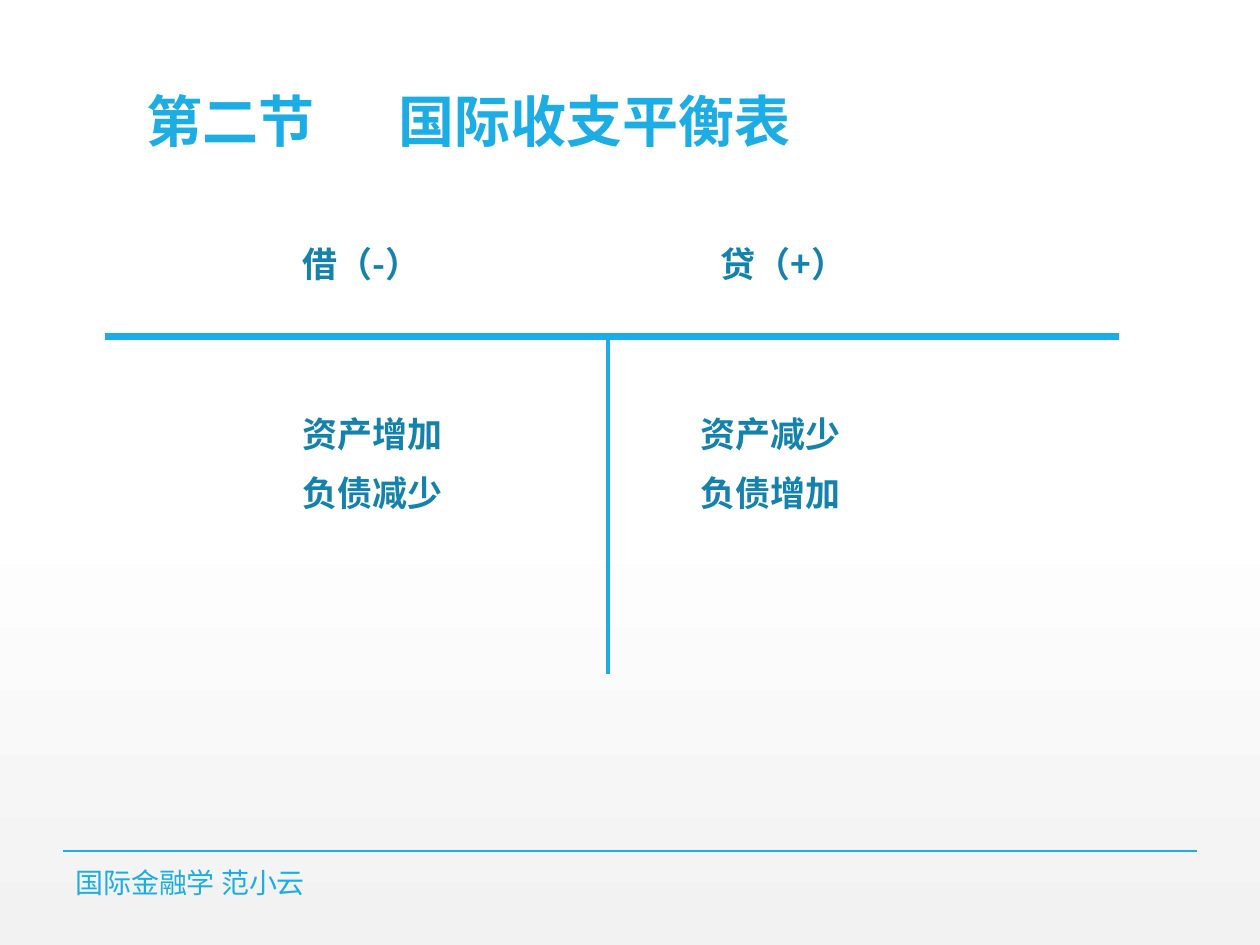
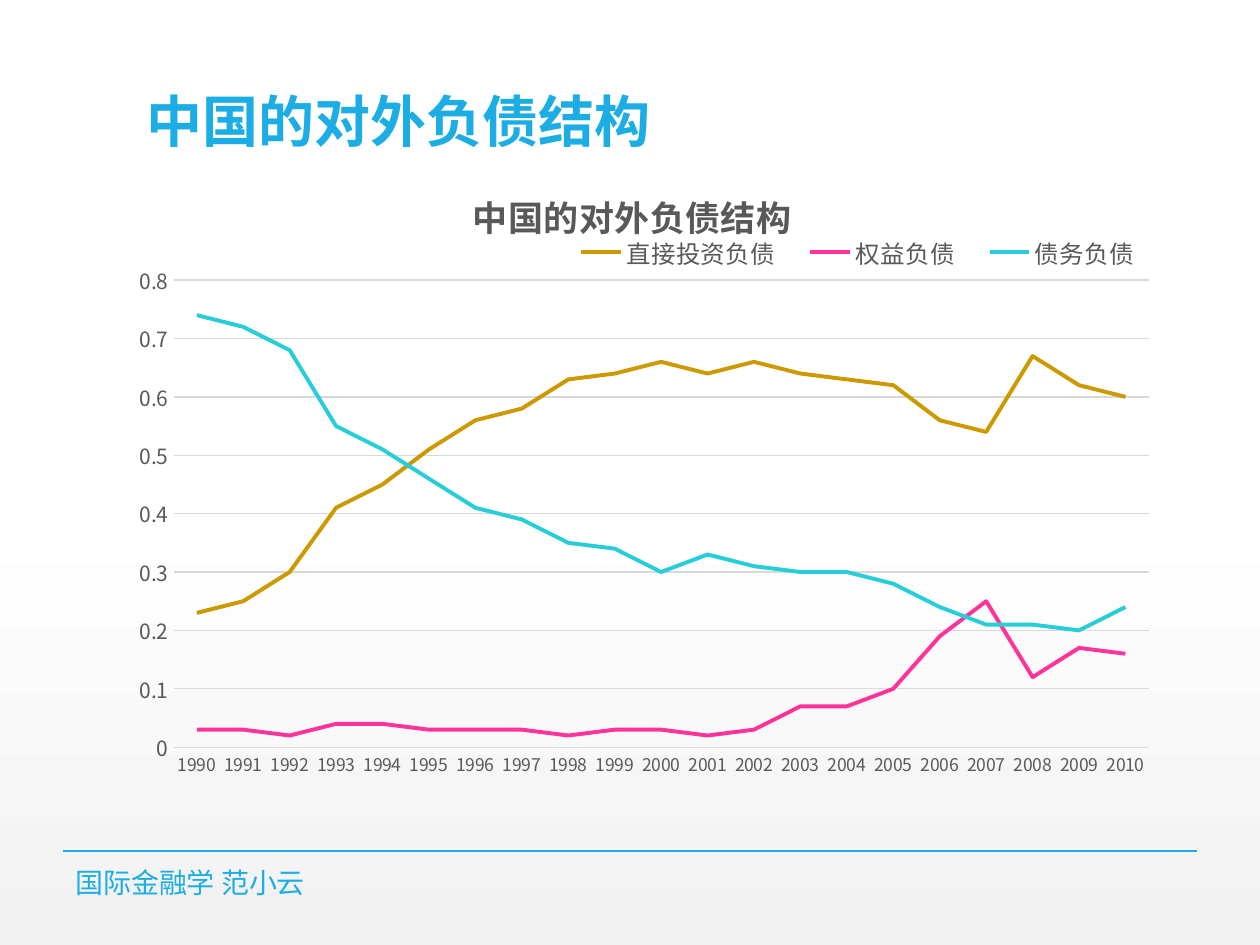
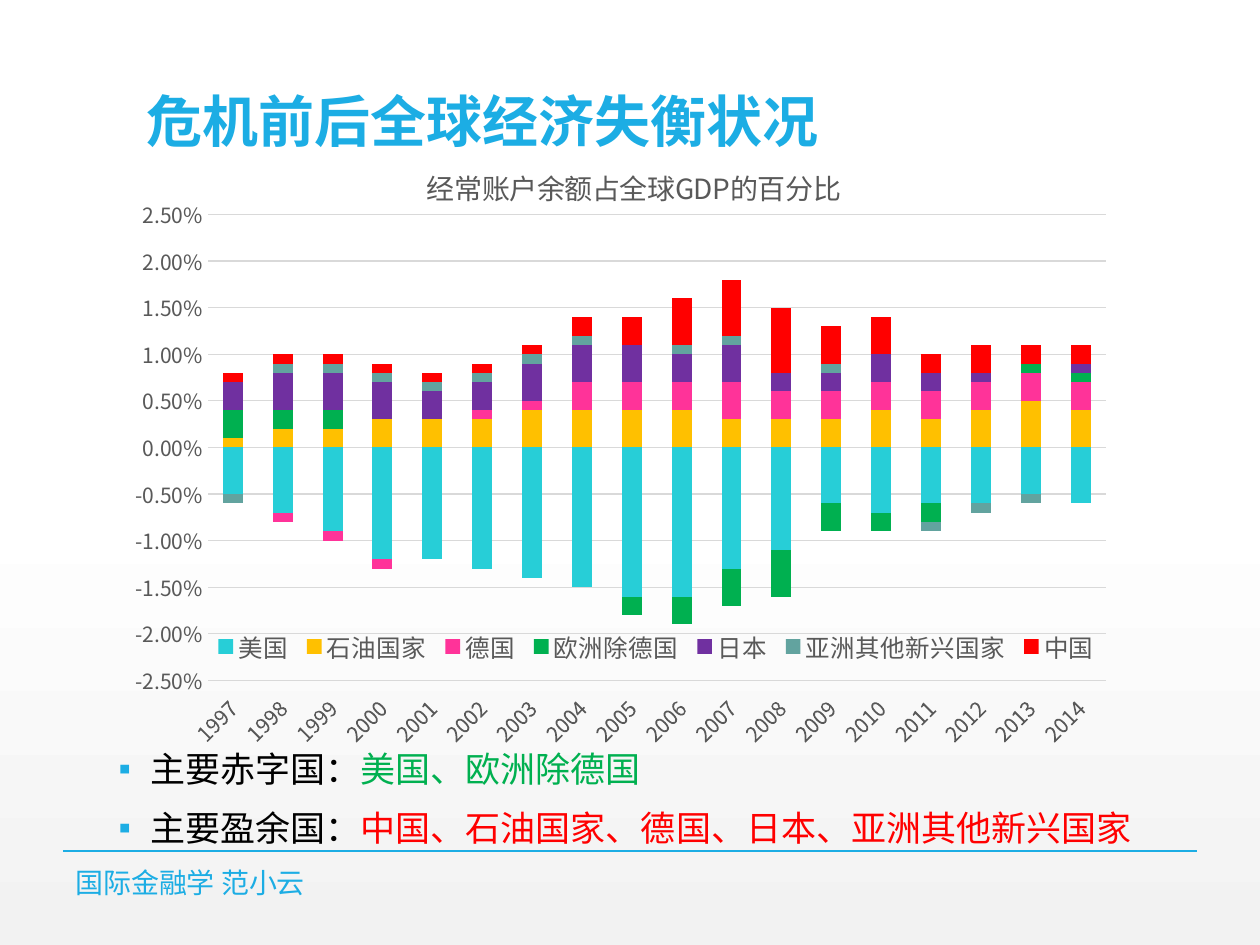
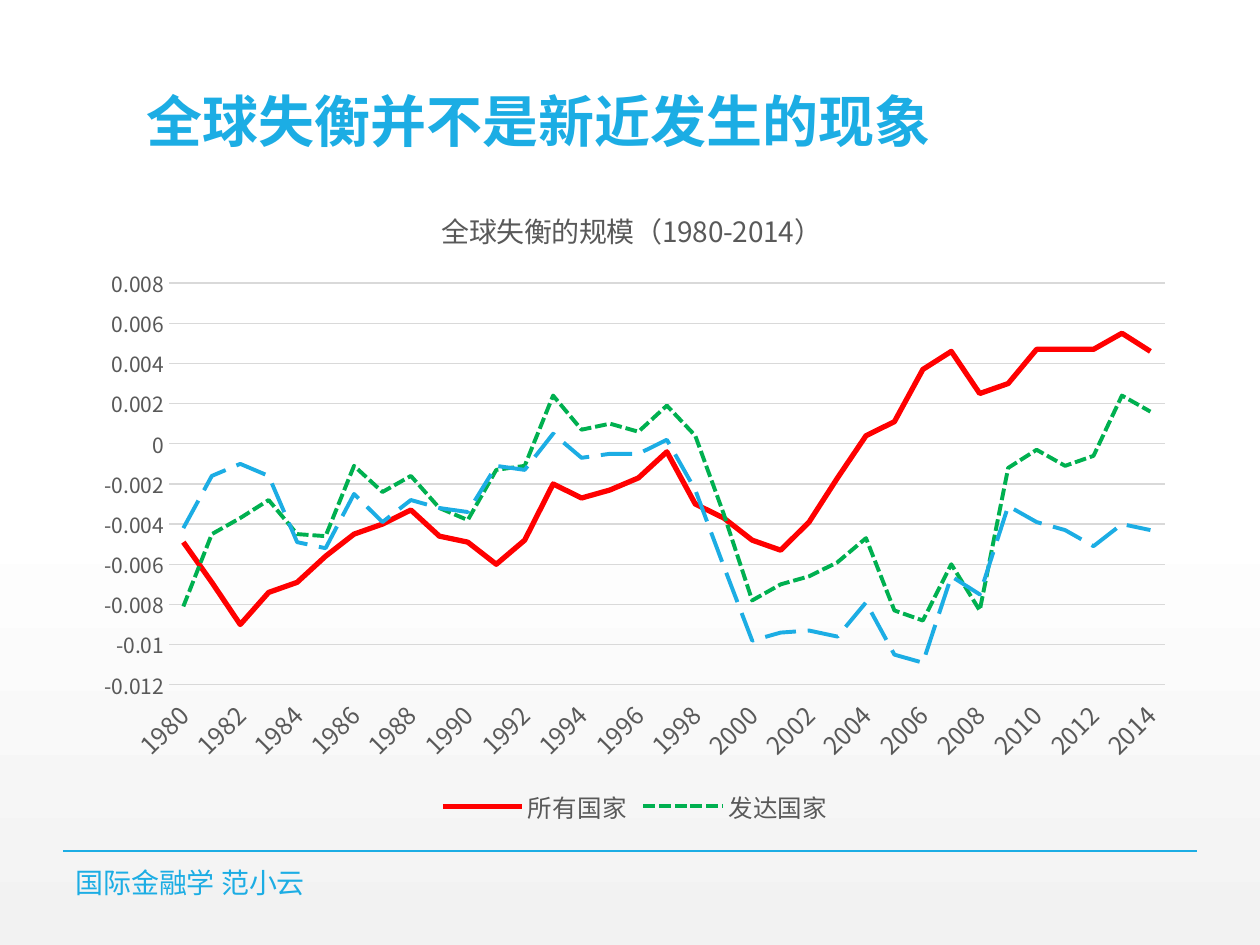
from collections import namedtuple

from pptx import Presentation
from pptx.chart.data import CategoryChartData
from pptx.dml.color import RGBColor
from pptx.enum.chart import (XL_CHART_TYPE as ChartType, XL_LEGEND_POSITION as LegendPosition,
                             XL_TICK_LABEL_POSITION as LabelPosition, XL_TICK_MARK as TickMark)
from pptx.enum.dml import MSO_LINE as Dash
from pptx.enum.shapes import MSO_CONNECTOR as Connector
from pptx.enum.text import MSO_ANCHOR as Anchor, MSO_AUTO_SIZE as AutoSize, PP_ALIGN as Align
from pptx.oxml import parse_xml
from pptx.oxml.ns import nsdecls, qn
from pptx.util import Pt

EMU_PER_PX = 914400 / 126

BLUE = RGBColor(0x1C, 0xAD, 0xE4)
DARK_BLUE = RGBColor(0x14, 0x82, 0xAC)
BLACK = RGBColor(0, 0, 0)
GREY_TEXT = RGBColor(0x59, 0x59, 0x59)
GRID_GREY = RGBColor(0xD9, 0xD9, 0xD9)
OCHRE = RGBColor(0xCC, 0x99, 0x00)
PINK = RGBColor(0xFF, 0x33, 0x99)
TURQUOISE = RGBColor(0x27, 0xCE, 0xD7)
AMBER = RGBColor(0xFF, 0xC0, 0x00)
GREEN = RGBColor(0x00, 0xB0, 0x50)
PURPLE = RGBColor(0x70, 0x30, 0xA0)
SAGE = RGBColor(0x62, 0xA3, 0x9F)
RED = RGBColor(0xFF, 0, 0)

LATIN_FONT = "Arial"
CJK_FONT = "Noto Sans CJK SC"

Box = namedtuple("Box", "left top width height")
Series = namedtuple("Series", "name color values width dash", defaults=(2.25, None))
Scale = namedtuple("Scale", "low high step number_format")

TITLE_BOX = Box(134, 3, 993, 158)
TITLE_TAB = 252
FOOTER_BOX = Box(63, 867, 634, 30)

LIABILITIES = [
    Series("直接投资负债", OCHRE, [
        0.23, 0.25, 0.3, 0.41, 0.45, 0.51, 0.56, 0.58, 0.63, 0.64, 0.66,
        0.64, 0.66, 0.64, 0.63, 0.62, 0.56, 0.54, 0.67, 0.62, 0.6]),
    Series("权益负债", PINK, [
        0.03, 0.03, 0.02, 0.04, 0.04, 0.03, 0.03, 0.03, 0.02, 0.03, 0.03,
        0.02, 0.03, 0.07, 0.07, 0.1, 0.19, 0.25, 0.12, 0.17, 0.16]),
    Series("债务负债", TURQUOISE, [
        0.74, 0.72, 0.68, 0.55, 0.51, 0.46, 0.41, 0.39, 0.35, 0.34, 0.3,
        0.33, 0.31, 0.3, 0.3, 0.28, 0.24, 0.21, 0.21, 0.2, 0.24]),
]

CURRENT_ACCOUNTS = [
    Series("美国", TURQUOISE, [
        -0.005, -0.007, -0.009, -0.012, -0.012, -0.013, -0.014, -0.015, -0.016,
        -0.016, -0.013, -0.011, -0.006, -0.007, -0.006, -0.006, -0.005, -0.006]),
    Series("石油国家", AMBER, [
        0.001, 0.002, 0.002, 0.003, 0.003, 0.003, 0.004, 0.004, 0.004,
        0.004, 0.003, 0.003, 0.003, 0.004, 0.003, 0.004, 0.005, 0.004]),
    Series("德国", PINK, [
        0, -0.001, -0.001, -0.001, 0, 0.001, 0.001, 0.003, 0.003,
        0.003, 0.004, 0.003, 0.003, 0.003, 0.003, 0.003, 0.003, 0.003]),
    Series("欧洲除德国", GREEN, [
        0.003, 0.002, 0.002, 0, 0, 0, 0, 0, -0.002,
        -0.003, -0.004, -0.005, -0.003, -0.002, -0.002, 0, 0.001, 0.001]),
    Series("日本", PURPLE, [
        0.003, 0.004, 0.004, 0.004, 0.003, 0.003, 0.004, 0.004, 0.004,
        0.003, 0.004, 0.002, 0.002, 0.003, 0.002, 0.001, 0, 0.001]),
    Series("亚洲其他新兴国家", SAGE, [
        -0.001, 0.001, 0.001, 0.001, 0.001, 0.001, 0.001, 0.001, 0,
        0.001, 0.001, 0, 0.001, 0, -0.001, -0.001, -0.001, 0]),
    Series("中国", RED, [
        0.001, 0.001, 0.001, 0.001, 0.001, 0.001, 0.001, 0.002, 0.003,
        0.005, 0.006, 0.007, 0.004, 0.004, 0.002, 0.003, 0.002, 0.002]),
]

IMBALANCES = [
    Series("所有国家", RED, [
        -0.0049, -0.0069, -0.009, -0.0074, -0.0069, -0.0056, -0.0045, -0.004, -0.0033,
        -0.0046, -0.0049, -0.006, -0.0048, -0.002, -0.0027, -0.0023, -0.0017, -0.0004,
        -0.003, -0.0037, -0.0048, -0.0053, -0.0039, -0.0017, 0.0004, 0.0011, 0.0037,
        0.0046, 0.0025, 0.003, 0.0047, 0.0047, 0.0047, 0.0055, 0.0046], 3),
    Series("发达国家", GREEN, [
        -0.0081, -0.0045, -0.0037, -0.0028, -0.0045, -0.0046, -0.0011, -0.0024, -0.0016,
        -0.0032, -0.0038, -0.0013, -0.0011, 0.0024, 0.0007, 0.001, 0.0006, 0.0019,
        0.0004, -0.0035, -0.0078, -0.007, -0.0066, -0.0059, -0.0047, -0.0083, -0.0088,
        -0.006, -0.0083, -0.0012, -0.0003, -0.0011, -0.0006, 0.0024, 0.0016],
        2.25, Dash.SQUARE_DOT),
    Series("G7", BLUE, [
        -0.0042, -0.0016, -0.001, -0.0016, -0.0049, -0.0052, -0.0025, -0.0039, -0.0028,
        -0.0032, -0.0034, -0.0011, -0.0013, 0.0005, -0.0007, -0.0005, -0.0005, 0.0002,
        -0.0023, -0.0061, -0.0098, -0.0094, -0.0093, -0.0096, -0.0079, -0.0105, -0.0109,
        -0.0066, -0.0075, -0.0031, -0.0039, -0.0043, -0.0051, -0.004, -0.0043],
        2.25, Dash.LONG_DASH),
]


def px(length):
    return round(length * EMU_PER_PX)


def place(shape, box):
    shape.left, shape.top, shape.width, shape.height = map(px, box)


def style_font(font, size, color, bold=None, name=CJK_FONT):
    font.name = name
    font.size = Pt(size)
    font.bold = bold
    font.color.rgb = color


def set_east_asian_font(root):
    """Pair every Latin font below root with the Chinese font."""
    for latin in list(root.iter(qn("a:latin"))):
        latin.addnext(parse_xml(f'<a:ea {nsdecls("a")} typeface="{CJK_FONT}"/>'))


def space_before_half(paragraph):
    properties = paragraph._p.get_or_add_pPr()
    properties.append(parse_xml(
        f'<a:spcBef {nsdecls("a")}><a:spcPct val="50000"/></a:spcBef>'))
    return properties


def add_line(slide, start, end, width):
    line = slide.shapes.add_connector(Connector.STRAIGHT, *map(px, start + end))
    line.line.color.rgb = BLUE
    line.line.width = Pt(width)
    line.element.spPr.append(parse_xml(f'<a:effectLst {nsdecls("a")}/>'))
    return line


def add_text_box(slide, box, text):
    text_frame = slide.shapes.add_textbox(*map(px, box)).text_frame
    text_frame.word_wrap = True
    text_frame.text = text
    return text_frame


def set_up_master(presentation):
    master = presentation.slide_master
    master.background.fill.gradient()
    gradient = master.element.find(".//" + qn("p:bg")).find(".//" + qn("a:gradFill"))
    gradient.getparent().replace(gradient, parse_xml(
        f'<a:gradFill {nsdecls("a")} rotWithShape="1"><a:gsLst>'
        '<a:gs pos="0"><a:srgbClr val="FFFFFF"/></a:gs>'
        '<a:gs pos="53000"><a:srgbClr val="FFFFFF"/></a:gs>'
        '<a:gs pos="100000"><a:srgbClr val="F2F2F2"><a:alpha val="65000"/></a:srgbClr></a:gs>'
        '</a:gsLst><a:lin ang="5400000" scaled="0"/></a:gradFill>'))


def move_to_master(presentation, shape):
    presentation.slide_master.shapes.element.append(shape.element)


def add_slide(presentation, title, layout_name="Title Only"):
    layout = presentation.slide_layouts.get_by_name(layout_name)
    slide = presentation.slides.add_slide(layout)
    place(slide.shapes.title, TITLE_BOX)
    text_frame = slide.shapes.title.text_frame
    text_frame.text = title
    text_frame.auto_size = AutoSize.NONE
    text_frame.vertical_anchor = Anchor.BOTTOM
    paragraph = text_frame.paragraphs[0]
    paragraph.alignment = Align.LEFT
    paragraph.line_spacing = 0.9
    paragraph._p.get_or_add_pPr().append(parse_xml(
        f'<a:tabLst {nsdecls("a")}><a:tab pos="{px(TITLE_TAB)}" algn="l"/></a:tabLst>'))
    style_font(paragraph.runs[0].font, 32, BLUE, True, LATIN_FONT)

    footer = add_text_box(slide, FOOTER_BOX, "国际金融学 范小云")
    footer.vertical_anchor = Anchor.MIDDLE
    style_font(footer.paragraphs[0].runs[0].font, 16, BLUE)
    return slide


def add_t_account(slide, box):
    bar_top, stem_left = box.top + 101, box.left + 503
    add_line(slide, (box.left, bar_top), (box.left + box.width, bar_top), 4)
    add_line(slide, (stem_left, bar_top), (stem_left, box.top + box.height), 2.5)
    for left, top, height, text in [
        (185, 0, 55, "借（-）"),
        (603, 0, 55, "贷（+）"),
        (185, 170, 118, "资产增加\n负债减少"),
        (583, 170, 118, "资产减少\n负债增加"),
    ]:
        entry = add_text_box(slide, Box(box.left + left, box.top + top, 297, height), text)
        entry.auto_size = AutoSize.SHAPE_TO_FIT_TEXT
        for paragraph in entry.paragraphs:
            space_before_half(paragraph)
            style_font(paragraph.runs[0].font, 20, DARK_BLUE, True)


def add_country_list(slide, box):
    body = slide.placeholders[1]
    place(body, box)
    text_frame = body.text_frame
    text_frame.auto_size = AutoSize.NONE
    rows = [("主要赤字国：", "美国、欧洲除德国", GREEN),
            ("主要盈余国：", "中国、石油国家、德国、日本、亚洲其他新兴国家", RED)]
    text_frame.text = "\n".join(label for label, _, _ in rows)
    for paragraph, (_, countries, color) in zip(text_frame.paragraphs, rows):
        style_font(paragraph.runs[0].font, 20, BLACK)
        run = paragraph.add_run()
        run.text = countries
        style_font(run.font, 20, color)
        properties = space_before_half(paragraph)
        properties.set("marL", "228600")
        properties.set("indent", "-228600")
        properties.append(parse_xml(
            f'<a:buClr {nsdecls("a")}><a:srgbClr val="{BLUE}"/></a:buClr>'))
        properties.append(parse_xml(f'<a:buChar {nsdecls("a")} char="▪"/>'))


def set_layout(parent, predecessor, x, y, width=None, height=None, inner=False):
    """Place a chart part by fractions of the chart, after its predecessor tag."""
    for layout in parent.findall(qn("c:layout")):
        parent.remove(layout)
    parts = ['<c:layoutTarget val="inner"/>'] if inner else []
    parts += ['<c:xMode val="edge"/>', '<c:yMode val="edge"/>']
    parts += [f'<c:{tag} val="{value}"/>'
              for tag, value in zip("xywh", (x, y, width, height)) if value is not None]
    layout = parse_xml(f'<c:layout {nsdecls("c")}><c:manualLayout>{"".join(parts)}'
                       '</c:manualLayout></c:layout>')
    if predecessor:
        parent.find(qn(predecessor)).addnext(layout)
    else:
        parent.insert(0, layout)


def add_chart(slide, box, chart_type, first_year, series_list, scale, plot_layout):
    data = CategoryChartData(number_format=scale.number_format)
    data.categories = [str(first_year + i) for i in range(len(series_list[0].values))]
    for series in series_list:
        data.add_series(series.name, series.values)
    chart = slide.shapes.add_chart(chart_type, *map(px, box), data).chart
    style_font(chart.font, 10, BLACK, name=LATIN_FONT)
    plot = chart.plots[0]
    plot.vary_by_categories = False
    for drawn, series in zip(plot.series, series_list):
        if chart_type == ChartType.LINE:
            drawn.smooth = False
            drawn.format.line.color.rgb = series.color
            drawn.format.line.width = Pt(series.width)
            if series.dash:
                drawn.format.line.dash_style = series.dash
        else:
            drawn.invert_if_negative = False
            drawn.format.fill.solid()
            drawn.format.fill.fore_color.rgb = series.color
    style_value_axis(chart.value_axis, scale)
    set_layout(chart.element.find(".//" + qn("c:plotArea")), None, *plot_layout, inner=True)
    return chart


def style_value_axis(axis, scale):
    axis.minimum_scale, axis.maximum_scale, axis.major_unit = scale[:3]
    axis.major_tick_mark = axis.minor_tick_mark = TickMark.NONE
    axis.format.line.fill.background()
    axis.has_major_gridlines = True
    axis.major_gridlines.format.line.color.rgb = GRID_GREY
    axis.major_gridlines.format.line.width = Pt(0.75)
    axis.tick_labels.number_format = scale.number_format
    axis.tick_labels.number_format_is_linked = False
    style_font(axis.tick_labels.font, 12, GREY_TEXT)


def style_category_axis(chart, size, slanted=False):
    axis = chart.category_axis
    axis.major_tick_mark = axis.minor_tick_mark = TickMark.NONE
    axis.format.line.color.rgb = GRID_GREY
    axis.format.line.width = Pt(0.75)
    style_font(axis.tick_labels.font, size, GREY_TEXT)
    if slanted:
        axis.tick_label_position = LabelPosition.LOW
        body = chart.element.find(".//" + qn("c:catAx")).find(".//" + qn("a:bodyPr"))
        body.set("rot", "-2700000")
        body.set("vert", "horz")


def add_chart_title(chart, text, size, x, y, bold=False):
    chart.has_title = True
    text_frame = chart.chart_title.text_frame
    text_frame.text = text
    style_font(text_frame.paragraphs[0].runs[0].font, size, GREY_TEXT, bold)
    set_layout(chart.element.find(".//" + qn("c:title")), "c:tx", x, y)


def add_legend(chart, layout=None, hidden_entry=None):
    chart.has_legend = True
    chart.legend.position = LegendPosition.BOTTOM
    chart.legend.include_in_layout = False
    style_font(chart.legend.font, 14, GREY_TEXT)
    legend = chart.element.find(".//" + qn("c:legend"))
    if layout:
        set_layout(legend, "c:legendPos", *layout)
    if hidden_entry is not None:
        legend.find(qn("c:legendPos")).addnext(parse_xml(
            f'<c:legendEntry {nsdecls("c")}><c:idx val="{hidden_entry}"/>'
            '<c:delete val="1"/></c:legendEntry>'))


def add_liability_chart(slide, box):
    chart = add_chart(slide, box, ChartType.LINE, 1990, LIABILITIES,
                      Scale(0, 0.8, 0.1, "General"), (0.084, 0.177, 0.885, 0.688))
    style_category_axis(chart, 10)
    add_chart_title(chart, "中国的对外负债结构", 20, 0.35, 0.03, bold=True)
    add_legend(chart, (0.43, 0.11, 0.55, 0.05))
    set_east_asian_font(chart.element)


def add_current_account_chart(slide, box):
    chart = add_chart(slide, box, ChartType.COLUMN_STACKED, 1997, CURRENT_ACCOUNTS,
                      Scale(-0.025, 0.025, 0.005, "0.00%"), (0.1, 0.093, 0.881, 0.795))
    chart.plots[0].gap_width = 150
    chart.plots[0].overlap = 100
    style_category_axis(chart, 12, slanted=True)
    add_chart_title(chart, "经常账户余额占全球GDP的百分比", 16, 0.31, 0)
    add_legend(chart, (0.1, 0.79, 0.88, 0.08))
    set_east_asian_font(chart.element)


def add_imbalance_chart(slide, box):
    chart = add_chart(slide, box, ChartType.LINE, 1980, IMBALANCES,
                      Scale(-0.012, 0.008, 0.002, "General"), (0.078, 0.155, 0.901, 0.622))
    style_category_axis(chart, 14, slanted=True)
    add_chart_title(chart, "全球失衡的规模（1980-2014）", 16, 0.32, 0.03)
    add_legend(chart, hidden_entry=2)
    set_east_asian_font(chart.element)


def main():
    presentation = Presentation()
    presentation.slide_width, presentation.slide_height = px(1260), px(945)
    set_up_master(presentation)

    slide = add_slide(presentation, "第二节\t国际收支平衡表")
    move_to_master(presentation, add_line(slide, (63, 851), (1197, 851), 1))
    add_t_account(slide, Box(105, 236, 1014, 438))

    slide = add_slide(presentation, "中国的对外负债结构")
    add_liability_chart(slide, Box(81, 160, 1102, 679))

    slide = add_slide(presentation, "危机前后全球经济失衡状况", "Title and Content")
    add_country_list(slide, Box(106, 741, 1074, 112))
    add_current_account_chart(slide, Box(106, 160, 1019, 588))

    slide = add_slide(presentation, "全球失衡并不是新近发生的现象")
    add_imbalance_chart(slide, Box(83, 183, 1105, 646))

    for slide in presentation.slides:
        set_east_asian_font(slide.element)
    presentation.save("out.pptx")


if __name__ == "__main__":
    main()
